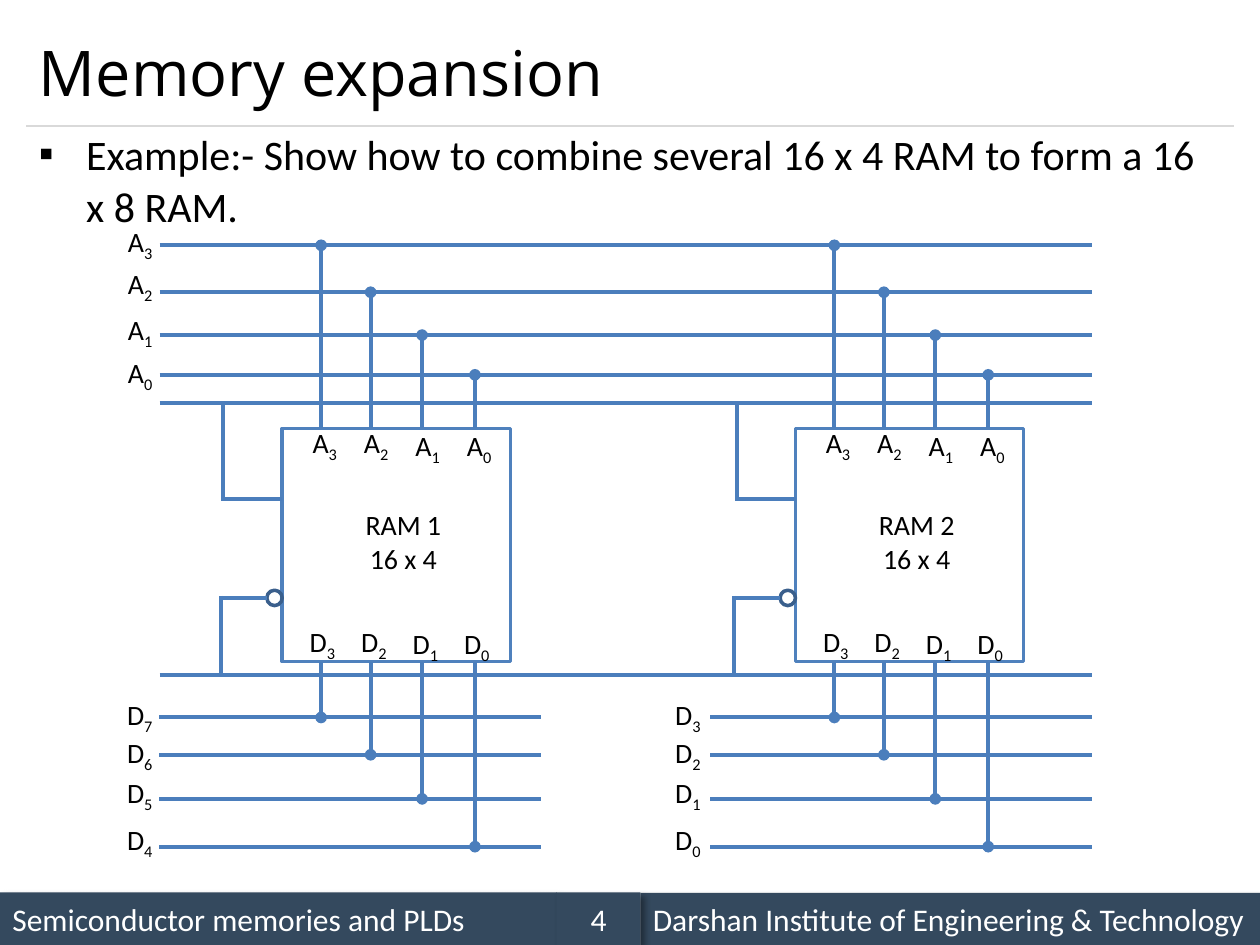
"""Build the memory expansion slide: two 16 x 4 RAM chips wired as a 16 x 8 RAM."""
from pptx import Presentation
from pptx.dml.color import RGBColor
from pptx.enum.shapes import MSO_CONNECTOR as Connector, MSO_SHAPE as Shape
from pptx.enum.text import MSO_ANCHOR as Anchor, MSO_AUTO_SIZE as AutoSize, PP_ALIGN as Align
from pptx.oxml import parse_xml
from pptx.oxml.ns import nsdecls
from pptx.util import Pt

BLACK = RGBColor(0x00, 0x00, 0x00)
WHITE = RGBColor(0xFF, 0xFF, 0xFF)
GRAY = RGBColor(0xD9, 0xD9, 0xD9)
NAVY = RGBColor(0x34, 0x49, 0x5E)
WIRE = RGBColor(0x4B, 0x7E, 0xBC)
CHIP = RGBColor(0x4F, 0x81, 0xBD)
BUBBLE = RGBColor(0x3A, 0x5F, 0x8C)

TITLE = "Memory expansion"
BODY = "Example:- Show how to combine several 16 x 4 RAM to form a 16 x 8 RAM."
FOOTERS = [
    ("Semiconductor memories and PLDs", 0, 510, 318.2, Align.LEFT),
    ("Darshan Institute of Engineering & Technology", 366, 510.3, 354, Align.LEFT),
    ("4", 318, 510, 48, Align.CENTER),
]
CHIPS = [("RAM 1", 161.3), ("RAM 2", 454.6)]
CHIP_TOP, CHIP_WIDTH, CHIP_HEIGHT = 244.8, 130.4, 133.2
CHIP_BOTTOM = CHIP_TOP + CHIP_HEIGHT
PINS = [22.2, 50.5, 79.9, 110.1]
PIN_LABEL_DROPS = [0, 0, 1.4, 1.4]
PIN_LABEL_STEP = 29.4
ADDRESS_BUS = [("3", 140.2, 124.6), ("2", 167, 149), ("1", 191.5, 175), ("0", 214.2, 199.4)]
DATA_ROWS = [(410, 395.3), (431.3, 416.9), (456.5, 439.9), (483.8, 466.6)]
DATA_BUSES = [("7654", 90.9, 308.9, 65.5), ("3210", 406, 624.2, 378.7)]
BUS_LEFT, BUS_RIGHT = 91.2, 624.2
ENABLE_Y, ENABLE_PIN_Y = 230.4, 285.1
SELECT_Y, SELECT_PIN_Y = 385.9, 341.7
BUBBLE_SIZE = 8.8
WIRE_WIDTH = 2.25


def add_span(para, text, size, color=BLACK, name="Calibri"):
    span = para.add_run()
    span.text = text
    span.font.size = Pt(size)
    span.font.name = name
    span.font.color.rgb = color
    return span


def add_line(page, start, end, color=WIRE, width=WIRE_WIDTH, dot=False):
    line = page.shapes.add_connector(Connector.STRAIGHT, *map(Pt, start + end))
    line.line.color.rgb = color
    line.line.width = Pt(width)
    if dot:
        line.line._get_or_add_ln().append(parse_xml(f'<a:headEnd type="oval" {nsdecls("a")}/>'))
    line._element.spPr.append(parse_xml(f'<a:effectLst {nsdecls("a")}/>'))


def add_outline(page, kind, bounds, color):
    shape = page.shapes.add_shape(kind, *map(Pt, bounds))
    shape.shadow.inherit = False
    shape.fill.background()
    shape.line.color.rgb = color
    shape.line.width = Pt(2)


def add_label(page, letter, digit, left, top):
    box = page.shapes.add_textbox(Pt(left), Pt(top), Pt(32.4), Pt(28.8))
    box.text_frame.word_wrap = True
    para = box.text_frame.paragraphs[0]
    add_span(para, letter, 16)
    add_span(para, digit, 16).font._element.set("baseline", "-25000")


def add_footer(page, text, left, top, width, align):
    bar = page.shapes.add_shape(Shape.RECTANGLE, Pt(left), Pt(top), Pt(width), Pt(30))
    bar.fill.solid()
    bar.fill.fore_color.rgb = NAVY
    bar.line.fill.background()
    bar._element.spPr.append(parse_xml(
        f'<a:effectLst {nsdecls("a")}><a:outerShdw blurRad="{Pt(4)}" dist="{Pt(3)}" dir="2700000" '
        'algn="tl" rotWithShape="0"><a:srgbClr val="000000"><a:alpha val="40000"/></a:srgbClr>'
        '</a:outerShdw></a:effectLst>'))
    bar.text_frame.word_wrap = True
    bar.text_frame.vertical_anchor = Anchor.MIDDLE
    para = bar.text_frame.paragraphs[0]
    para.alignment = align
    add_span(para, text, 18, WHITE)


def fill_placeholder(box, top, height, anchor):
    box.left, box.top, box.width, box.height = Pt(15), Pt(top), Pt(690), Pt(height)
    frame = box.text_frame
    frame.auto_size = AutoSize.NONE
    frame.word_wrap = True
    frame.vertical_anchor = anchor
    para = frame.paragraphs[0]
    para.alignment = Align.LEFT
    para.space_before = Pt(0)
    return para


def add_headings(page):
    para = fill_placeholder(page.shapes.title, 9, 63, Anchor.MIDDLE)
    add_span(para, TITLE, 36, name="Open Sans")
    para = fill_placeholder(page.placeholders[1], 68.4, 72, Anchor.TOP)
    para.line_spacing = 1.04
    properties = para._p.get_or_add_pPr()
    properties.set("marL", str(Pt(27)))
    properties.set("indent", str(-Pt(27)))
    properties.append(parse_xml(f'<a:buFont typeface="Arial" {nsdecls("a")}/>'))
    properties.append(parse_xml(f'<a:buChar char="▪" {nsdecls("a")}/>'))
    add_span(para, BODY, 24)


def add_chip(page, name, left):
    add_outline(page, Shape.RECTANGLE, (left, CHIP_TOP, CHIP_WIDTH, CHIP_HEIGHT), CHIP)
    box = page.shapes.add_textbox(Pt(left + 35.2), Pt(286.6), Pt(68), Pt(51))
    box.text_frame.word_wrap = True
    first = box.text_frame.paragraphs[0]
    for para, text in ((first, name), (box.text_frame.add_paragraph(), "16 x 4")):
        para.alignment = Align.CENTER
        add_span(para, text, 16)

    rows = zip(PINS, PIN_LABEL_DROPS, ADDRESS_BUS, DATA_ROWS)
    for index, (pin, drop, (digit, address_y, _), (data_y, _)) in enumerate(rows):
        label_left = left + index * PIN_LABEL_STEP
        add_label(page, "A", digit, label_left + 10.2, CHIP_TOP - 5 + drop)
        add_label(page, "D", digit, label_left + 8.6, CHIP_BOTTOM - 24.8 + drop)
        add_line(page, (left + pin, address_y), (left + pin, CHIP_TOP), dot=True)
        add_line(page, (left + pin, data_y), (left + pin, CHIP_BOTTOM), dot=True)

    bubble_left = left - BUBBLE_SIZE
    add_outline(page, Shape.OVAL,
                (bubble_left, SELECT_PIN_Y - BUBBLE_SIZE / 2, BUBBLE_SIZE, BUBBLE_SIZE), BUBBLE)
    corner = WIRE_WIDTH / 2
    for drop_x, pin_x, bus_y, pin_y in (
        (left - 33.7, left, ENABLE_Y, ENABLE_PIN_Y + corner),
        (left - 35.2, bubble_left, SELECT_Y, SELECT_PIN_Y - corner),
    ):
        wire_y = ENABLE_PIN_Y if bus_y == ENABLE_Y else SELECT_PIN_Y
        add_line(page, (pin_x, wire_y), (drop_x, wire_y))
        add_line(page, (drop_x, pin_y), (drop_x, bus_y))


def add_buses(page):
    for y in (ENABLE_Y, SELECT_Y):
        add_line(page, (BUS_LEFT, y), (BUS_RIGHT, y))
    for digit, y, label_top in ADDRESS_BUS:
        add_line(page, (BUS_LEFT, y), (BUS_RIGHT, y))
        add_label(page, "A", digit, 66, label_top)
    for digits, left, right, label_left in DATA_BUSES:
        for digit, (y, label_top) in zip(digits, DATA_ROWS):
            add_line(page, (left, y), (right, y))
            add_label(page, "D", digit, label_left, label_top)


def main():
    deck = Presentation()
    deck.slide_width, deck.slide_height = Pt(720), Pt(540)
    page = deck.slides.add_slide(deck.slide_layouts[1])
    add_headings(page)
    add_line(page, (15, 72), (705, 72), GRAY, 0.75)
    for footer in FOOTERS:
        add_footer(page, *footer)
    for name, left in CHIPS:
        add_chip(page, name, left)
    add_buses(page)
    deck.save("out.pptx")


if __name__ == "__main__":
    main()
